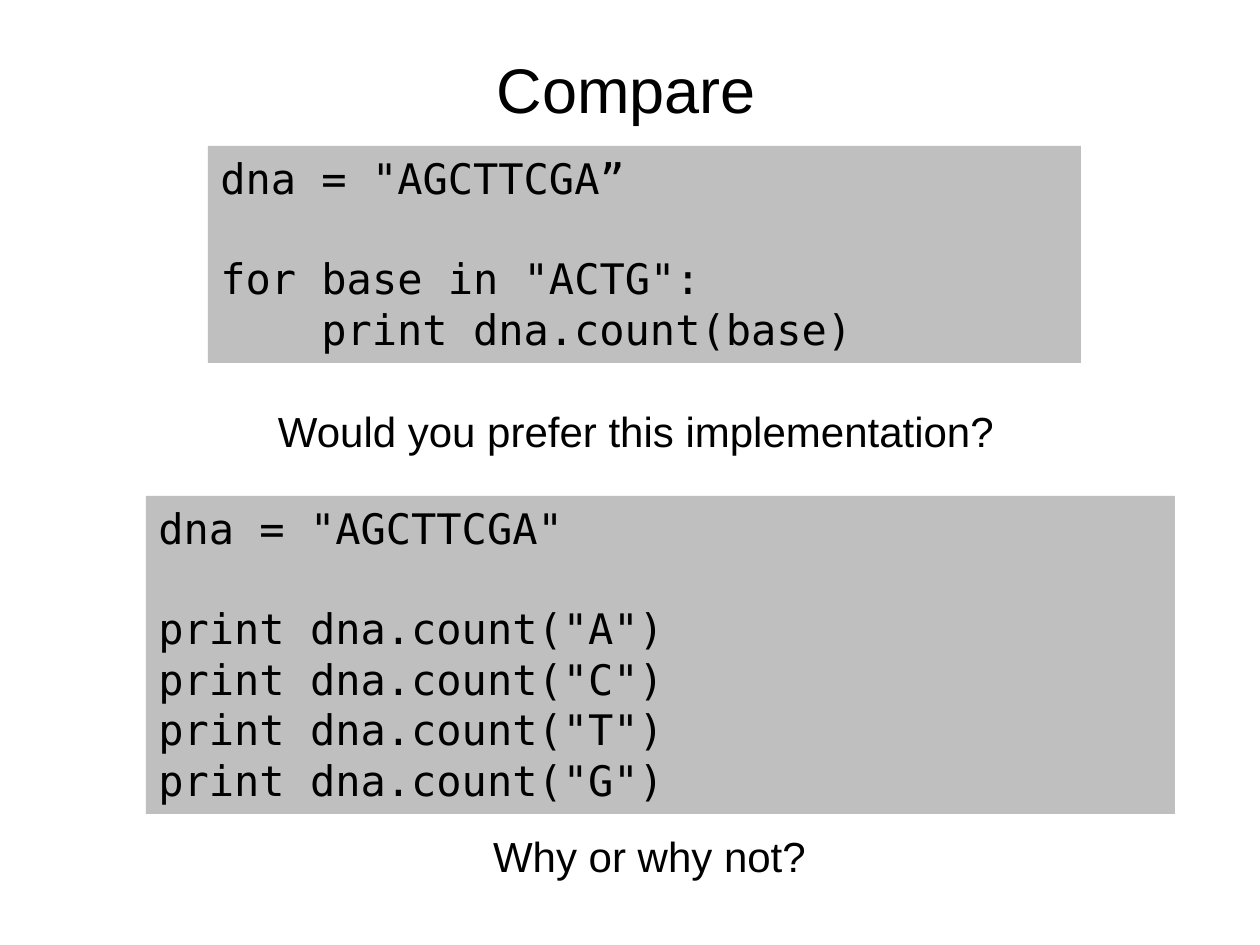
from dataclasses import dataclass

from pptx import Presentation
from pptx import util as u
from pptx.dml.color import RGBColor
from pptx.enum import shapes, text

PX = u.Inches(1) // 126


@dataclass(frozen=True)
class Theme:
    ink: RGBColor = RGBColor(0x00, 0x00, 0x00)
    code_fill: RGBColor = RGBColor(0xBF, 0xBF, 0xBF)
    body_font: str = "Arial"
    code_font: str = "DejaVu Sans Mono"
    title_size: u.Pt = u.Pt(36)
    body_size: u.Pt = u.Pt(24)
    code_gap: u.Pt = u.Pt(28.8)


theme = Theme()
CODE_INDENT = 101 * PX  # four monospaced characters


def box(left, top, width, height):
    return [length * PX for length in (left, top, width, height)]


def write_lines(shape, lines, font, size, alignment, wrap):
    """Fill the shape with one uniformly formatted paragraph per line."""
    frame = shape.text_frame
    frame.text = "\n".join(lines)
    frame.word_wrap = wrap
    frame.auto_size = text.MSO_AUTO_SIZE.SHAPE_TO_FIT_TEXT
    frame.vertical_anchor = text.MSO_ANCHOR.TOP
    for paragraph in frame.paragraphs:
        paragraph.alignment = alignment
        paragraph.font.name = font
        paragraph.font.size = size
        paragraph.font.color.rgb = theme.ink


presentation = Presentation()
presentation.slide_width = u.Inches(10)
presentation.slide_height = u.Inches(7.5)
slide = presentation.slides.add_slide(presentation.slide_layouts.get_by_name("Title Only"))

title = slide.shapes.title
title.left, title.top, title.width, title.height = box(483, 44, 287, 89)
write_lines(title, ["Compare"], theme.body_font, theme.title_size,
            text.PP_ALIGN.CENTER, False)

# Each code box: position, lines, and the indices of its indented lines
code_boxes = [
    (box(208, 146, 873, 217),
     ['dna = "AGCTTCGA”', 'for base in "ACTG":', "print dna.count(base)"], [2]),
    (box(146, 496, 1029, 318),
     ['dna = "AGCTTCGA"'] + [f'print dna.count("{base}")' for base in "ACTG"], []),
]
for position, lines, indented in code_boxes:
    code = slide.shapes.add_shape(shapes.MSO_SHAPE.RECTANGLE, *position)
    code.shadow.inherit = False
    code.fill.solid()
    code.fill.fore_color.rgb = theme.code_fill
    code.line.fill.background()
    write_lines(code, lines, theme.code_font, theme.body_size, text.PP_ALIGN.LEFT, True)
    paragraphs = code.text_frame.paragraphs
    paragraphs[1].space_before = theme.code_gap
    for index in indented:
        paragraphs[index]._p.get_or_add_pPr().set("marL", str(CODE_INDENT))

captions = [
    (box(262, 399, 748, 63), "Would you prefer this implementation?"),
    (box(479, 824, 341, 63), "Why or why not?"),
]
for position, question in captions:
    caption = slide.shapes.add_textbox(*position)
    write_lines(caption, [question], theme.body_font, theme.body_size,
                text.PP_ALIGN.CENTER, False)

presentation.save("out.pptx")
